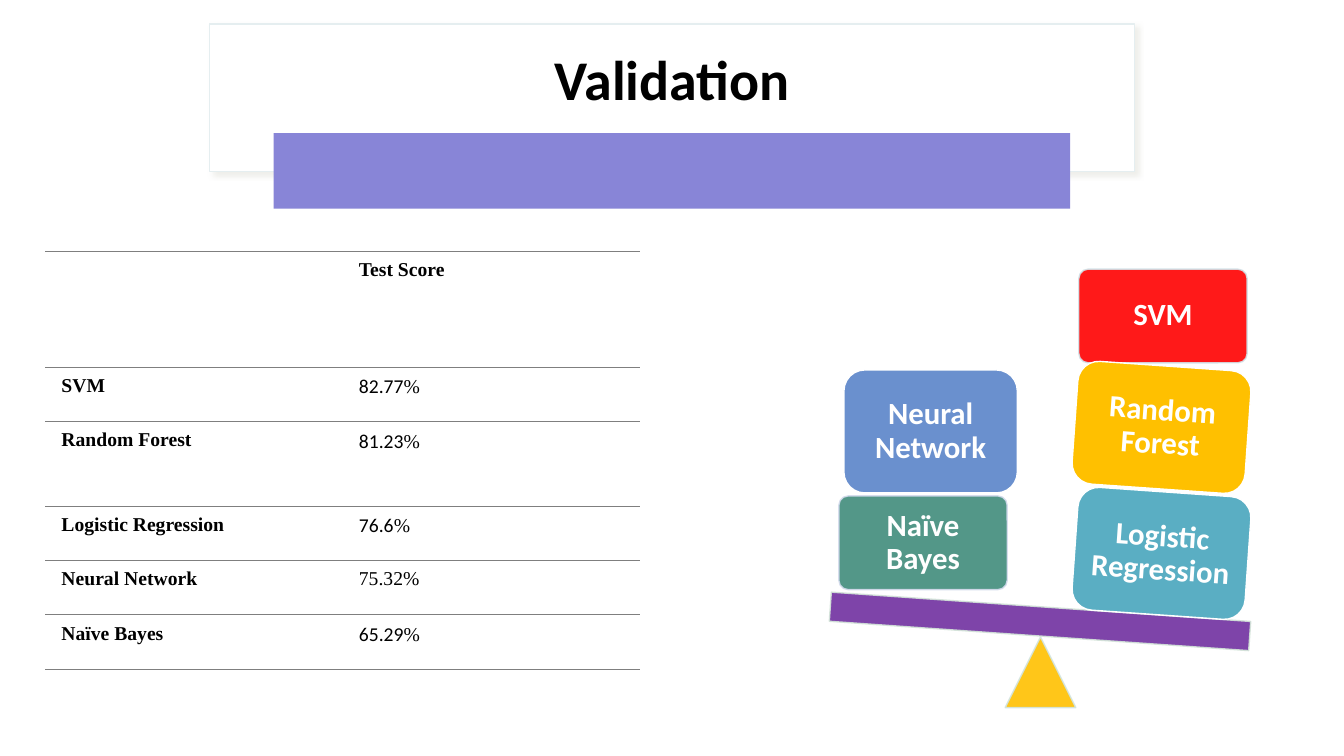
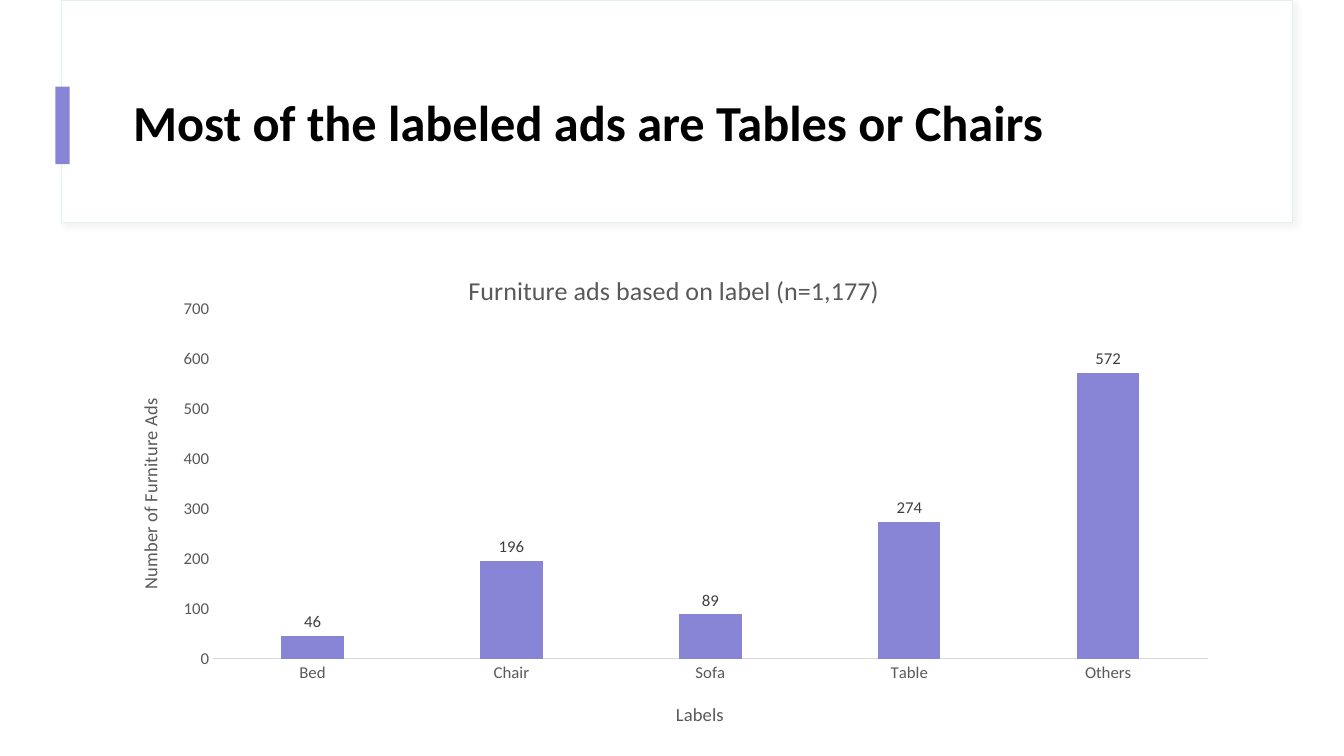
from lxml import etree
from pptx import Presentation
from pptx.chart.data import CategoryChartData
from pptx.dml.color import RGBColor
from pptx.enum.chart import XL_CHART_TYPE, XL_LABEL_POSITION, XL_TICK_MARK
from pptx.enum.shapes import MSO_SHAPE as Shape
from pptx.enum.text import MSO_ANCHOR as Anchor, MSO_AUTO_SIZE, PP_ALIGN as Align
from pptx.oxml.ns import qn
from pptx.util import Inches, Pt

WIDTH, HEIGHT = 13.33, 7.5
SANS, SERIF = "Calibri", "Times New Roman"
COLORS = {
    "white": "FFFFFF", "black": "000000", "accent": "8885D7",
    "frame": "E5EEF0", "rule": "7F7F7F", "axis": "D9D9D9",
    "axis_text": "595959", "label_text": "404040",
    "green": "418C7C", "red": "FF0000", "yellow": "FFC000",
    "purple": "7030A0", "blue": "6A90CE", "teal": "5AAEC3",
    "pale_blue": "D4DBED", "pale_teal": "D2E3E9",
    "pale_green": "D2E5E0", "pale_mint": "D4E5D9",
}

# Model, score, font of the score's digits
SCORES = [
    ("SVM", "82.77", SANS),
    ("Random Forest", "81.23", SANS),
    ("Logistic Regression", "76.6", SANS),
    ("Neural Network", "75.32", SERIF),
    ("Naïve Bayes", "65.29", SANS),
]
SCORE_HEADING = "Test Score"
ROW_HEIGHTS = [1.15, 0.54, 0.84, 0.54, 0.54, 0.54]
COLUMN_WIDTH = 2.95

SMALL, LARGE = (1.67, 0.93), (1.72, 1.22)
TILT = 4
# Text, left, top, size, fill, line, corner, rotation, opacity
BLOCKS = [
    ("Naïve Bayes", 8.32, 4.92, SMALL, "green", "pale_blue", 0.1, 0, 90),
    ("SVM", 10.7, 2.67, SMALL, "red", "pale_teal", 0.1, 0, 90),
    ("Neural Network", 8.37, 3.67, LARGE, "blue", "white", 0.17, 0, 100),
    ("Logistic Regression", 10.66, 4.88, LARGE, "teal", "white", 0.17, TILT, 100),
    ("Random Forest", 10.66, 3.63, LARGE, "yellow", "white", 0.17, TILT, 100),
]

ADS = {"Bed": 46, "Chair": 196, "Sofa": 89, "Table": 274, "Others": 572}


def color(name):
    return RGBColor.from_string(COLORS[name])


def add_element(parent, tag, **attributes):
    element = etree.SubElement(parent, qn(tag))
    for name, value in attributes.items():
        element.set(name, str(value))
    return element


def style_font(font, size, color_name, bold=False, name=SANS):
    font.name, font.size, font.bold = name, Pt(size), bold
    font.color.rgb = color(color_name)


def add_box(slide, kind, box, fill, line=None, line_width=1, opacity=100):
    shape = slide.shapes.add_shape(kind, *map(Inches, box))
    shape.shadow.inherit = False
    shape.fill.solid()
    shape.fill.fore_color.rgb = color(fill)
    if line:
        shape.line.color.rgb = color(line)
        shape.line.width = Pt(line_width)
    else:
        shape.line.fill.background()
    if opacity < 100:
        for tint in list(shape._element.spPr.iter(qn("a:srgbClr"))):
            add_element(tint, "a:alpha", val=opacity * 1000)
    return shape


def add_title_frame(slide, box, line_width, shadow_color):
    """Add the white panel behind a title, with a soft shadow."""
    frame = add_box(slide, Shape.RECTANGLE, box, "white", "frame", line_width)
    effects = frame._element.spPr.find(qn("a:effectLst"))
    shadow = add_element(effects, "a:outerShdw", blurRad=Pt(4), dist=Pt(3),
                         dir=45 * 60000, algn="tl", rotWithShape=0)
    tint = add_element(shadow, "a:srgbClr", val=shadow_color)
    add_element(tint, "a:alpha", val=30000)


def set_title(slide, text, box, size, alignment):
    title = slide.shapes.title
    title.left, title.top, title.width, title.height = map(Inches, box)
    frame = title.text_frame
    frame.text = text
    frame.auto_size = MSO_AUTO_SIZE.NONE
    frame.word_wrap = True
    frame.vertical_anchor = Anchor.MIDDLE
    paragraph = frame.paragraphs[0]
    paragraph.alignment, paragraph.line_spacing = alignment, 0.9
    style_font(paragraph.runs[0].font, size, "black", bold=True)
    slide.shapes._spTree.append(title._element)


def centred(width):
    return (WIDTH - width) / 2


def style_cell(cell):
    cell.margin_left = cell.margin_right = Inches(0.16)
    cell.margin_top = cell.margin_bottom = Inches(0.08)
    properties = cell._tc.get_or_add_tcPr()
    for side in ("L", "R"):
        add_element(add_element(properties, f"a:ln{side}", w=0), "a:noFill")
    for side in ("T", "B"):
        border = add_element(properties, f"a:ln{side}", w=Pt(0.6))
        fill = add_element(border, "a:solidFill")
        add_element(fill, "a:srgbClr", val=COLORS["rule"])
    cell.fill.background()


def write_cell(cell, runs):
    """Fill a cell with (text, font name, bold) runs."""
    paragraph = cell.text_frame.paragraphs[0]
    for text, font_name, bold in runs:
        run = paragraph.add_run()
        run.text = text
        style_font(run.font, 14, "black", bold, font_name)


def add_score_table(slide):
    graphic = slide.shapes.add_table(
        len(ROW_HEIGHTS), 2, Inches(0.45), Inches(2.49),
        Inches(2 * COLUMN_WIDTH), Inches(sum(ROW_HEIGHTS)))
    table = graphic.table
    table.first_row = table.horz_banding = False
    for column in table.columns:
        column.width = Inches(COLUMN_WIDTH)
    for row, height in zip(table.rows, ROW_HEIGHTS):
        row.height = Inches(height)
        for cell in row.cells:
            style_cell(cell)
    write_cell(table.cell(0, 1), [(SCORE_HEADING, SERIF, True)])
    for index, (model, score, score_font) in enumerate(SCORES, 1):
        write_cell(table.cell(index, 0), [(model, SERIF, True)])
        write_cell(table.cell(index, 1),
                   [(score, score_font, False), ("%", SERIF, False)])


def add_block(slide, text, left, top, size, fill, line, corner, rotation, opacity):
    block = add_box(slide, Shape.ROUNDED_RECTANGLE, (left, top, *size),
                    fill, line, opacity=opacity)
    block.adjustments[0] = corner
    block.rotation = rotation
    frame = block.text_frame
    frame.text = text
    frame.word_wrap = True
    frame.vertical_anchor = Anchor.MIDDLE
    frame.margin_left = frame.margin_right = Inches(0.09)
    frame.margin_top = frame.margin_bottom = Inches(0.09)
    paragraph = frame.paragraphs[0]
    paragraph.alignment, paragraph.line_spacing = Align.CENTER, 0.9
    style_font(paragraph.runs[0].font, 22, "white", bold=True)


def add_balance(slide):
    add_box(slide, Shape.ISOSCELES_TRIANGLE, (9.97, 6.32, 0.7, 0.7),
            "yellow", "pale_green", opacity=90)
    beam = add_box(slide, Shape.RECTANGLE, (8.23, 6.02, 4.17, 0.29),
                   "purple", "pale_mint", opacity=90)
    beam.rotation = TILT
    for block in BLOCKS:
        add_block(slide, *block)


def place(element, position, **shares):
    """Give a chart part a manual layout, in shares of the chart's size."""
    for old in element.findall(qn("c:layout")):
        element.remove(old)
    layout = etree.Element(qn("c:layout"))
    element.insert(position, layout)
    manual = add_element(layout, "c:manualLayout")
    if "w" in shares:
        add_element(manual, "c:layoutTarget", val="inner")
    for side in ("x", "y"):
        add_element(manual, f"c:{side}Mode", val="edge")
    for side, share in shares.items():
        add_element(manual, f"c:{side}", val=share)


def set_chart_title(title, text, size, x, y):
    title.text_frame.text = text
    style_font(title.text_frame.paragraphs[0].runs[0].font, size, "axis_text")
    place(title._element, 1, x=x, y=y)


def add_ads_chart(slide):
    data = CategoryChartData()
    data.categories = list(ADS)
    data.add_series("Series 1", list(ADS.values()))
    chart = slide.shapes.add_chart(
        XL_CHART_TYPE.COLUMN_CLUSTERED, Inches(1.22), Inches(2.47),
        Inches(10.9), Inches(4.79), data).chart
    style_font(chart.font, 10, "black")
    chart.has_legend = False
    chart.has_title = True
    set_chart_title(chart.chart_title, "Furniture ads based on label (n=1,177)",
                    18.6, 0.31, 0.04)
    chart.chart_title.include_in_layout = False
    place(chart._chartSpace.chart.plotArea, 0, x=0.082, y=0.125, w=0.905, h=0.733)

    categories, values = chart.category_axis, chart.value_axis
    for axis, text, x, y in ((categories, "Labels", 0.5, 0.94),
                             (values, "Number of Furniture Ads", 0.01, 0.31)):
        axis.major_tick_mark = axis.minor_tick_mark = XL_TICK_MARK.NONE
        axis.has_major_gridlines = False
        style_font(axis.tick_labels.font, 12, "axis_text")
        set_chart_title(axis.axis_title, text, 13.3, x, y)
    upright = values.axis_title.text_frame._txBody.bodyPr
    upright.set("rot", "-5400000")
    upright.set("vert", "horz")
    categories.format.line.color.rgb = color("axis")
    categories.format.line.width = Pt(0.75)
    values.format.line.fill.background()

    plot = chart.plots[0]
    plot.gap_width, plot.overlap, plot.vary_by_categories = 219, -27, False
    series = plot.series[0]
    series.format.fill.solid()
    series.format.fill.fore_color.rgb = color("accent")
    labels = series.data_labels
    labels.show_value = True
    labels.position = XL_LABEL_POSITION.OUTSIDE_END
    style_font(labels.font, 12, "label_text")


def build_validation(slide):
    add_title_frame(slide, (centred(9.17), 0.24, 9.17, 1.46), 1, "CACABC")
    set_title(slide, "Validation", (centred(8.73), 0.34, 8.73, 0.95),
              40, Align.CENTER)
    add_box(slide, Shape.RECTANGLE, (centred(7.9), 1.32, 7.9, 0.75), "accent")
    add_score_table(slide)
    add_balance(slide)


def build_labeled_ads(slide):
    add_title_frame(slide, (0.61, 0, 12.21, 2.21), 0.75, "D9D9D9")
    add_box(slide, Shape.RECTANGLE, (0.55, 0.86, 0.14, 0.77), "accent")
    set_title(slide, "Most of the labeled ads are Tables or Chairs",
              (1.22, 0.6, 11.12, 1.29), 36, Align.LEFT)
    add_ads_chart(slide)


def main():
    presentation = Presentation()
    presentation.slide_width = Inches(WIDTH)
    presentation.slide_height = Inches(HEIGHT)
    title_only = presentation.slide_layouts[5]
    for build in (build_validation, build_labeled_ads):
        build(presentation.slides.add_slide(title_only))
    presentation.save("out.pptx")


if __name__ == "__main__":
    main()
